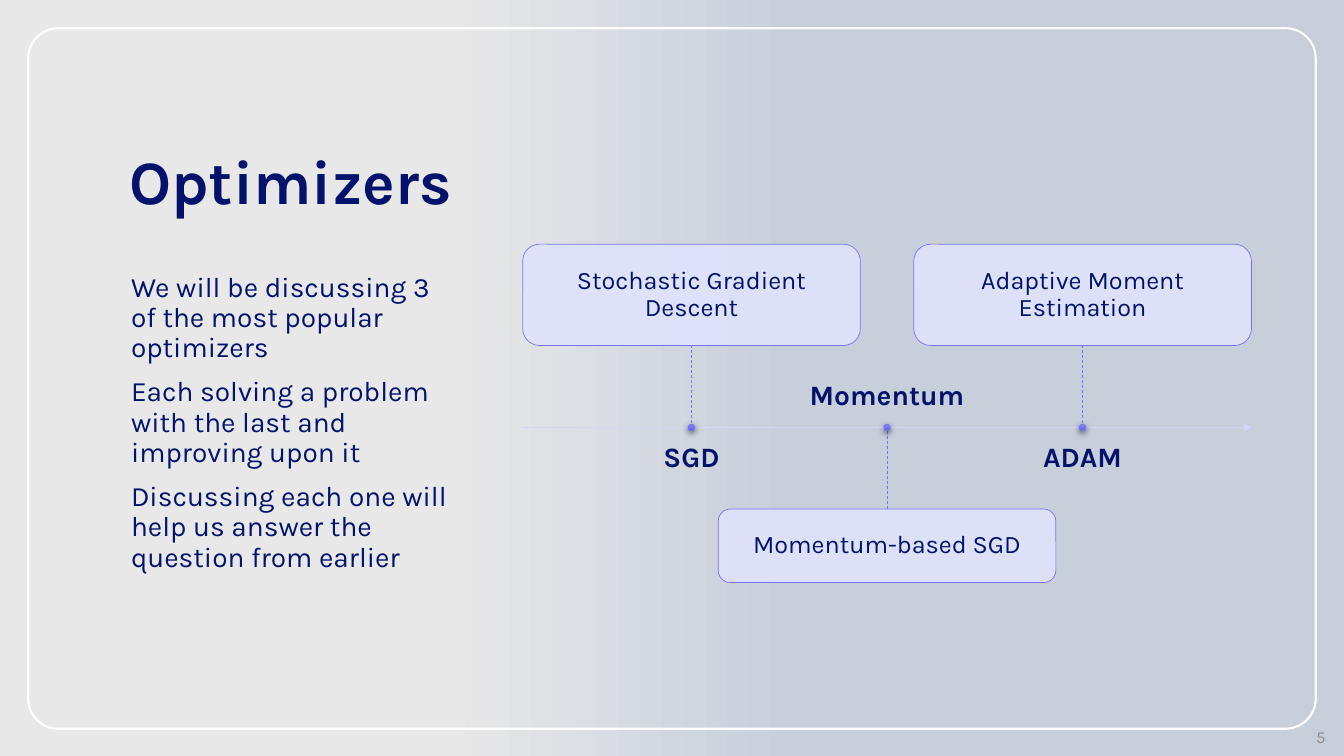
from dataclasses import dataclass

from lxml import etree
from pptx import Presentation
from pptx import util as u
from pptx.dml.color import RGBColor
from pptx.enum import dml, shapes, text
from pptx.oxml import parse_xml
from pptx.oxml.ns import qn

NS = 'xmlns:a="http://schemas.openxmlformats.org/drawingml/2006/main"'
COLS, ROWS = 160, 90
NAVY, VIOLET, LILAC, PALE = "03126A", "7673F7", "D6D5FC", "DFE3FC"
FONT = "Karla"
AXIS_ROW, AXIS_LEFT, AXIS_RIGHT = 50.9, 62.2, 149.04
FIRST_COL, STEP = 82.32, 23.28
CARD_W, LABEL_W, LABEL_H, DOT = 40.2, 35.4, 5.76, 0.76

prs = Presentation()
prs.slide_width, prs.slide_height = u.Inches(13.333), u.Inches(7.5)
s = prs.slides.add_slide(prs.slide_layouts[6])


@dataclass
class Milestone:
    name: str
    detail: str
    card_top: float
    card_height: float

    @property
    def above(self) -> bool:
        return self.card_top < AXIS_ROW


MILESTONES = [
    Milestone("SGD", "Stochastic Gradient Descent", 29.07, 12.06),
    Milestone("Momentum", "Momentum-based SGD", 60.6, 8.76),
    Milestone("ADAM", "Adaptive Moment Estimation", 29.07, 12.06),
]


def col(n: float) -> int:
    return round(prs.slide_width * n / COLS)


def row(n: float) -> int:
    return round(prs.slide_height * n / ROWS)


def rgb(value: str) -> RGBColor:
    return RGBColor.from_string(value)


def set_alpha(fill, percent: int) -> None:
    """Make a solid fill partly transparent."""
    clr = fill._xPr.find(qn("a:solidFill"))[0]
    etree.SubElement(clr, qn("a:alpha")).set("val", str(percent * 1000))


def set_gradient(fill, angle: float, *stops: tuple[float, str]) -> None:
    fill.gradient()
    fill.gradient_angle = angle
    for stop, (position, color) in zip(fill.gradient_stops, stops):
        stop.position, stop.color.rgb = position, rgb(color)


def write(sp, *paras: str, size: float, color: str = NAVY, bold: bool = False,
          align=text.PP_ALIGN.LEFT, anchor=text.MSO_ANCHOR.TOP,
          margins: tuple[float, float] = (1.2, 0.6), spacing: float = 0.9,
          gap: float = 0) -> None:
    """Fill a shape with paragraphs; margins are in columns and rows."""
    tf = sp.text_frame
    tf.word_wrap, tf.vertical_anchor = True, anchor
    tf.margin_left = tf.margin_right = col(margins[0])
    tf.margin_top = tf.margin_bottom = row(margins[1])
    for i, content in enumerate(paras):
        p = tf.paragraphs[0] if i == 0 else tf.add_paragraph()
        p.alignment, p.line_spacing = align, spacing
        if i:
            p.space_before = u.Pt(gap)
        r = p.add_run()
        r.text = content
        r.font.name, r.font.size, r.font.bold = FONT, u.Pt(size), bold
        r.font.color.rgb = rgb(color)


def add_text(left: float, top: float, width: float, height: float,
             *paras: str, **style) -> None:
    write(s.shapes.add_textbox(col(left), row(top), col(width), row(height)),
          *paras, **style)


def add_shape(kind, left: float, top: float, width: float, height: float,
              line: str, weight: float):
    sp = s.shapes.add_shape(kind, col(left), row(top), col(width), row(height))
    sp.shadow.inherit = False
    sp.fill.background()
    sp.line.color.rgb, sp.line.width = rgb(line), u.Pt(weight)
    return sp


def add_line(x1: float, y1: float, x2: float, y2: float, color: str):
    cx = s.shapes.add_connector(shapes.MSO_CONNECTOR.STRAIGHT,
                                col(x1), row(y1), col(x2), row(y2))
    cx.line.color.rgb, cx.line.width = rgb(color), u.Pt(0.5)
    etree.SubElement(cx._element.spPr, qn("a:effectLst"))
    return cx


def add_axis() -> None:
    axis = add_line(AXIS_LEFT, AXIS_ROW, AXIS_RIGHT, AXIS_ROW, LILAC)
    set_alpha(axis.line.fill, 90)
    ln = axis.line._get_or_add_ln()
    etree.SubElement(ln, qn("a:tailEnd")).set("type", "triangle")


def add_dot(x: float) -> None:
    dot = add_shape(shapes.MSO_SHAPE.OVAL, x - DOT / 2, AXIS_ROW - DOT / 2,
                    DOT, DOT, VIOLET, 0.5)
    set_gradient(dot.fill, 270, (0, "8886FA"), (1, "605DE5"))
    dot._element.spPr.find(qn("a:effectLst")).append(parse_xml(
        f'<a:outerShdw {NS} blurRad="57150" dist="19050" dir="5400000">'
        '<a:srgbClr val="000000"><a:alpha val="63000"/></a:srgbClr>'
        '</a:outerShdw>'))


def add_milestone(m: Milestone, x: float) -> None:
    """Draw a card, its dashed stem, its dot and its label across the axis."""
    label_top = 52.8 if m.above else 43.2
    add_text(x - LABEL_W / 2, label_top, LABEL_W, LABEL_H, m.name,
             size=20, bold=True, align=text.PP_ALIGN.CENTER, margins=(0, 0),
             anchor=text.MSO_ANCHOR.TOP if m.above else text.MSO_ANCHOR.BOTTOM)

    card = add_shape(shapes.MSO_SHAPE.ROUNDED_RECTANGLE, x - CARD_W / 2,
                     m.card_top, CARD_W, m.card_height, VIOLET, 0.5)
    card.fill.solid()
    card.fill.fore_color.rgb = rgb(PALE)
    set_alpha(card.fill, 90)
    write(card, m.detail, size=18, align=text.PP_ALIGN.CENTER,
          anchor=text.MSO_ANCHOR.MIDDLE, margins=(2.4, 2))

    edge = m.card_top + (m.card_height if m.above else 0)
    stem = add_line(x, edge, x, AXIS_ROW, VIOLET)
    stem.begin_connect(card, 2 if m.above else 0)
    stem.line.dash_style = dml.MSO_LINE.DASH
    add_dot(x)


def main() -> None:
    set_gradient(s.background.fill, 0, (0.33, "E8E8E8"), (0.59, "C7CFDB"))
    frame = add_shape(shapes.MSO_SHAPE.ROUNDED_RECTANGLE, 3.36, 3.36,
                      153.28, 83.4, "FFFFFF", 1.5)
    frame.adjustments[0] = 0.043

    add_text(14.2, 4.8, 137.9, 21.7, "Optimizers", size=44, bold=True,
             anchor=text.MSO_ANCHOR.BOTTOM)
    add_text(14.4, 31.9, 40.8, 44.8,
             "We will be discussing 3 of the most popular optimizers",
             "Each solving a problem with the last and improving upon it",
             "Discussing each one will help us answer the question from earlier",
             size=20, gap=10)

    add_axis()
    for i, m in enumerate(MILESTONES):
        add_milestone(m, FIRST_COL + i * STEP)

    add_text(123, 86.2, 36, 3, "5", size=12, color="8C8C8C", spacing=1.0,
             align=text.PP_ALIGN.RIGHT, anchor=text.MSO_ANCHOR.MIDDLE)
    prs.save("out.pptx")


if __name__ == "__main__":
    main()
